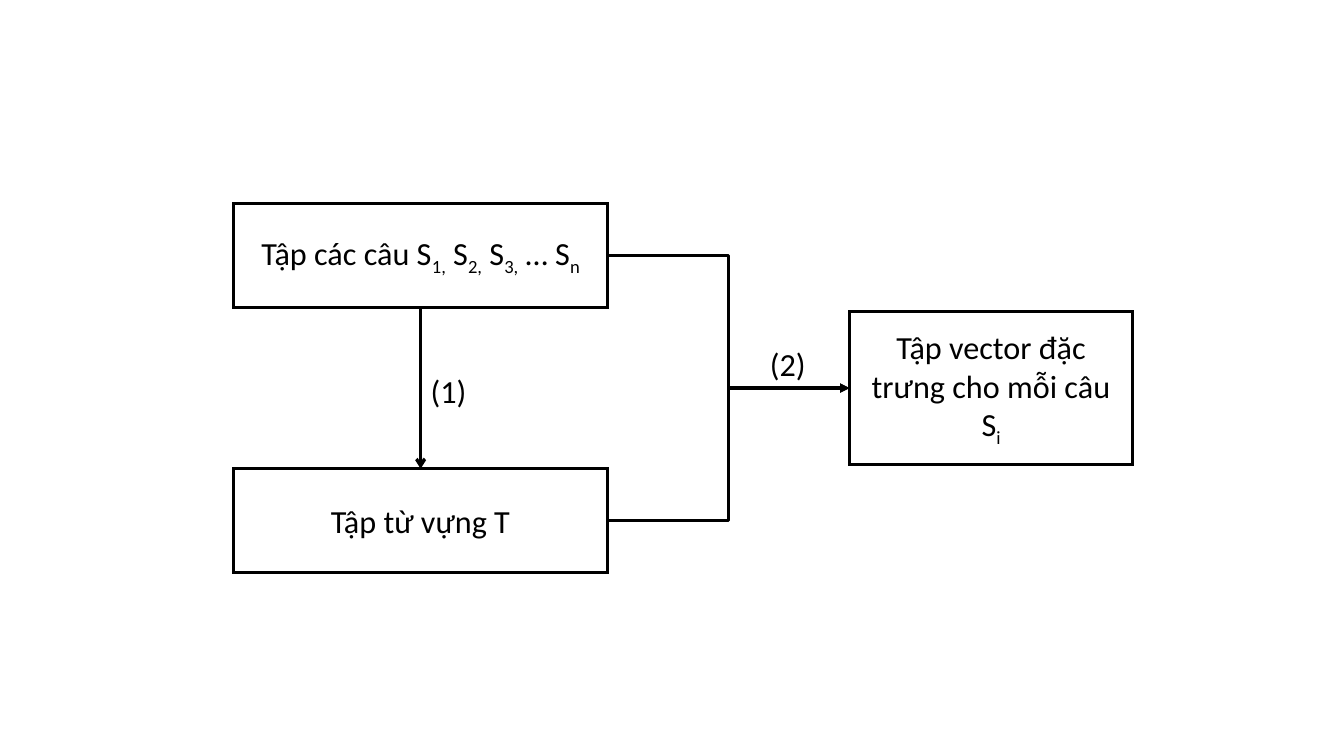
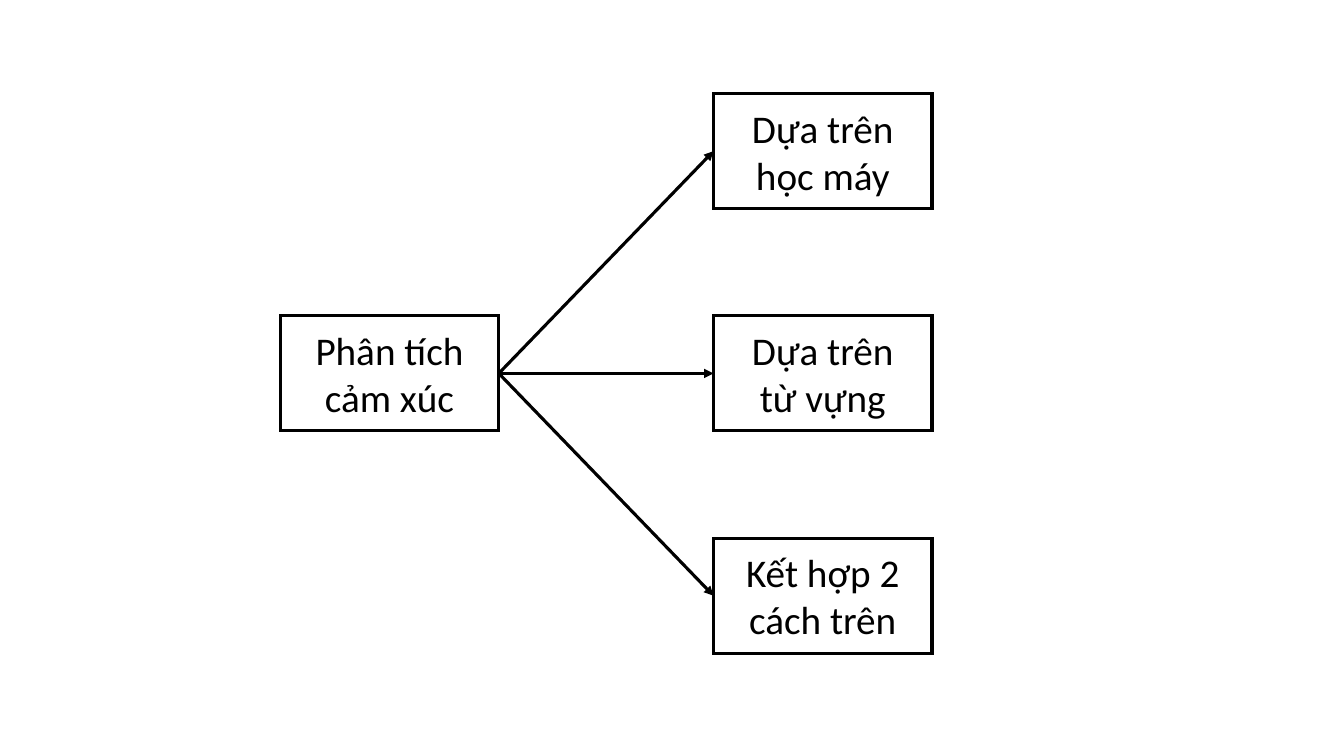
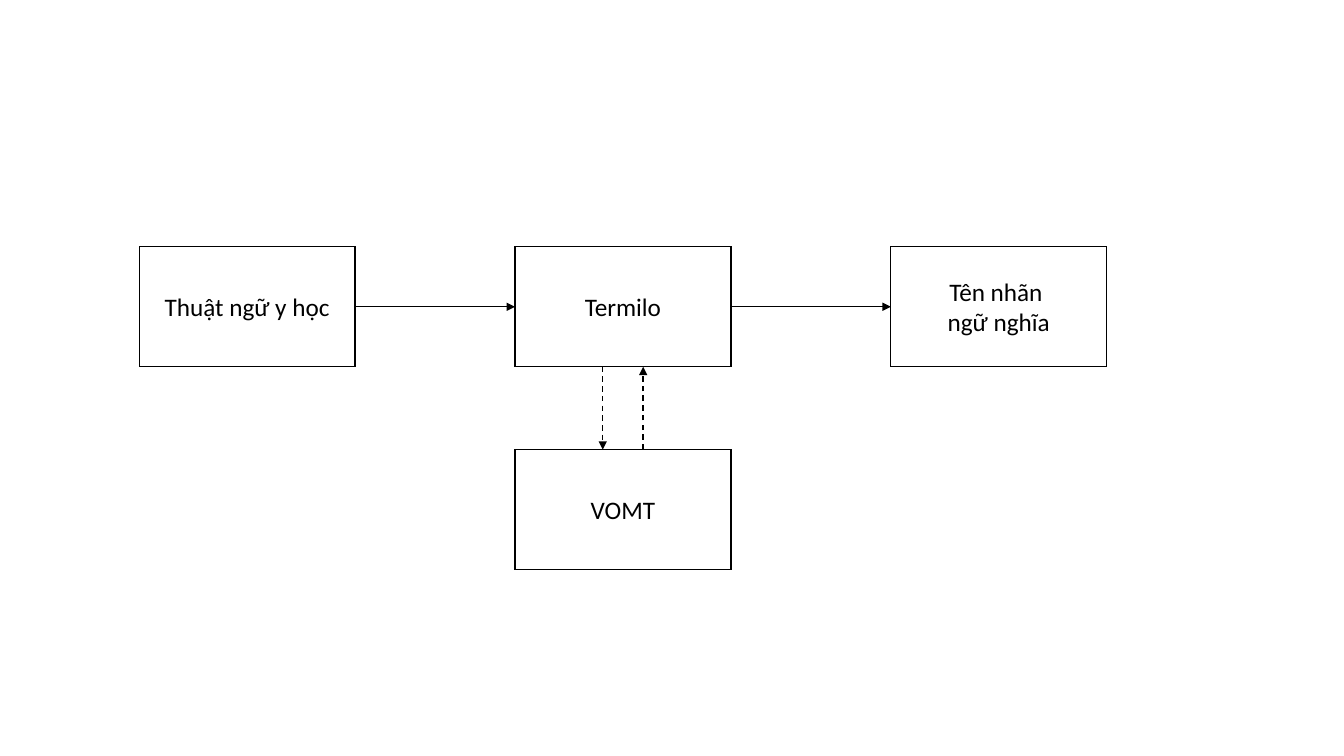
from dataclasses import dataclass

import pptx
import pptx.dml.color
import pptx.enum.dml
import pptx.enum.shapes
import pptx.enum.text
import pptx.oxml.ns
import pptx.util
from lxml import etree

Cm = pptx.util.Cm
qn = pptx.oxml.ns.qn
TOP, LEFT, BOTTOM, RIGHT = range(4)  # connection sites of a rectangle


@dataclass(frozen=True)
class Theme:
    font: str = "Calibri"
    ink: str = "000000"
    paper: str = "FFFFFF"
    vector_size: float = 23
    sentiment_size: float = 28
    lookup_size: float = 18
    bold_line: float = 2.25
    fine_line: float = 1


THEME = Theme()


@dataclass(frozen=True)
class Box:
    """A rectangle in centimetres."""
    left: float
    top: float
    width: float
    height: float

    def inner(self, dx, dy, width, height):
        return Box(self.left + dx, self.top + dy, width, height)

    def lengths(self):
        return [Cm(v) for v in (self.left, self.top, self.width, self.height)]


def rgb(value):
    return pptx.dml.color.RGBColor.from_string(value)


def write(frame, text, *, size, align=None, wrap=True, anchor=None):
    """Fill a text frame; every second piece between bars is a subscript."""
    frame.word_wrap = wrap
    frame.vertical_anchor = anchor
    for index, line in enumerate(text.split("\n")):
        paragraph = frame.paragraphs[0] if index == 0 else frame.add_paragraph()
        paragraph.alignment = align
        for number, piece in enumerate(line.split("|")):
            if not piece:
                continue
            run = paragraph.add_run()
            run.text = piece
            run.font.name = THEME.font
            run.font.size = pptx.util.Pt(size)
            run.font.color.rgb = rgb(THEME.ink)
            if number % 2:
                run._r.get_or_add_rPr().set("baseline", "-25000")


def style_line(line, weight):
    line.color.rgb = rgb(THEME.ink)
    line.width = pptx.util.Pt(weight)


def node(slide, box, text, *, size, weight=THEME.bold_line, fill=None):
    rectangle = slide.shapes.add_shape(
        pptx.enum.shapes.MSO_SHAPE.RECTANGLE, *box.lengths())
    rectangle.shadow.inherit = False
    if fill:
        rectangle.fill.solid()
        rectangle.fill.fore_color.rgb = rgb(fill)
    else:
        rectangle.fill.background()
    style_line(rectangle.line, weight)
    outline = rectangle._element.spPr.find(qn("a:ln"))
    etree.SubElement(outline, qn("a:miter"), lim="800000")
    write(rectangle.text_frame, text, size=size,
          align=pptx.enum.text.PP_ALIGN.CENTER,
          anchor=pptx.enum.text.MSO_ANCHOR.MIDDLE)
    return rectangle


def label(slide, box, text, *, size):
    caption = slide.shapes.add_textbox(*box.lengths())
    write(caption.text_frame, text, size=size, wrap=False)


def arrow(slide, start, end, *, weight=THEME.bold_line, head="triangle",
          elbow=False, dashed=False):
    """Draw an arrow between two (x, y) points in EMU."""
    kinds = pptx.enum.shapes.MSO_CONNECTOR
    connector = slide.shapes.add_connector(
        kinds.ELBOW if elbow else kinds.STRAIGHT, *start, *end)
    style_line(connector.line, weight)
    if dashed:
        connector.line.dash_style = pptx.enum.dml.MSO_LINE.DASH
    properties = connector._element.spPr
    etree.SubElement(properties.find(qn("a:ln")), qn("a:tailEnd"), type=head)
    etree.SubElement(properties, qn("a:effectLst"))
    return connector


def link(slide, source, source_site, target, target_site, **style):
    """Draw an arrow that stays attached to two nodes."""
    connector = arrow(slide, (source.left, source.top),
                      (target.left, target.top), **style)
    connector.begin_connect(source, source_site)
    connector.end_connect(target, target_site)


def vector_diagram(slide, area):
    size = THEME.vector_size
    width, height = 9.42, 2.62
    vector_width, vector_height = 7.14, 3.86
    sentences = node(slide, area.inner(0, 0, width, height),
                     "Tập các câu S|1,| S|2,| S|3,| … S|n", size=size)
    vocabulary = node(
        slide, area.inner(0, area.height - height, width, height),
        "Tập từ vựng T", size=size)
    vectors = node(
        slide,
        area.inner(area.width - vector_width,
                   (area.height - vector_height) / 2,
                   vector_width, vector_height),
        "Tập vector đặc trưng cho mỗi câu S|i", size=size)
    link(slide, sentences, BOTTOM, vocabulary, TOP, head="arrow")
    for source in (sentences, vocabulary):
        link(slide, source, RIGHT, vectors, LEFT, elbow=True)
    for text, dx, dy in (("(1)", width / 2, 4.09), ("(2)", 13.26, 3.43)):
        label(slide, area.inner(dx, dy, 1.42, 1.24), text, size=size)


def sentiment_diagram(slide, area):
    size = THEME.sentiment_size
    width, height = 5.51, 2.9
    approaches = ("Dựa trên học máy", "Dựa trên\ntừ vựng",
                  "Kết hợp 2 cách trên")
    step = (area.height - height) / (len(approaches) - 1)
    analysis = node(
        slide, area.inner(0, (area.height - height) / 2, width, height),
        "Phân tích cảm xúc", size=size)
    for row, text in enumerate(approaches):
        approach = node(
            slide, area.inner(area.width - width, row * step, width, height),
            text, size=size)
        link(slide, analysis, RIGHT, approach, LEFT)


def lookup_diagram(slide, area):
    style = {"size": THEME.lookup_size, "weight": THEME.fine_line,
             "fill": THEME.paper}
    width, height = 5.44, 3.02
    steps = ("Thuật ngữ y học", "Termilo", "Tên nhãn \nngữ nghĩa")
    pitch = (area.width - width) / (len(steps) - 1)
    term, mapper, tag = [
        node(slide, area.inner(column * pitch, 0, width, height), text, **style)
        for column, text in enumerate(steps)]
    thesaurus = node(
        slide, area.inner(pitch, area.height - height, width, height),
        "VOMT", **style)
    for source, target in ((term, mapper), (mapper, tag)):
        link(slide, source, RIGHT, target, LEFT, weight=THEME.fine_line)

    centre = mapper.left + mapper.width // 2
    upper, lower = mapper.top + mapper.height, thesaurus.top
    for offset, start, end in ((-0.51, upper, lower), (0.51, lower, upper)):
        x = centre + Cm(offset)
        arrow(slide, (x, start), (x, end), weight=THEME.fine_line, dashed=True)


def main():
    deck = pptx.Presentation()
    deck.slide_width, deck.slide_height = Cm(33.87), Cm(19.05)
    blank = deck.slide_layouts[6]
    for draw, area in (
            (vector_diagram, Box(5.89, 5.13, 22.66, 9.3)),
            (sentiment_diagram, Box(7.06, 2.36, 16.43, 14.1)),
            (lookup_diagram, Box(3.51, 6.22, 24.38, 8.13))):
        draw(deck.slides.add_slide(blank), area)
    deck.save("out.pptx")


if __name__ == "__main__":
    main()
